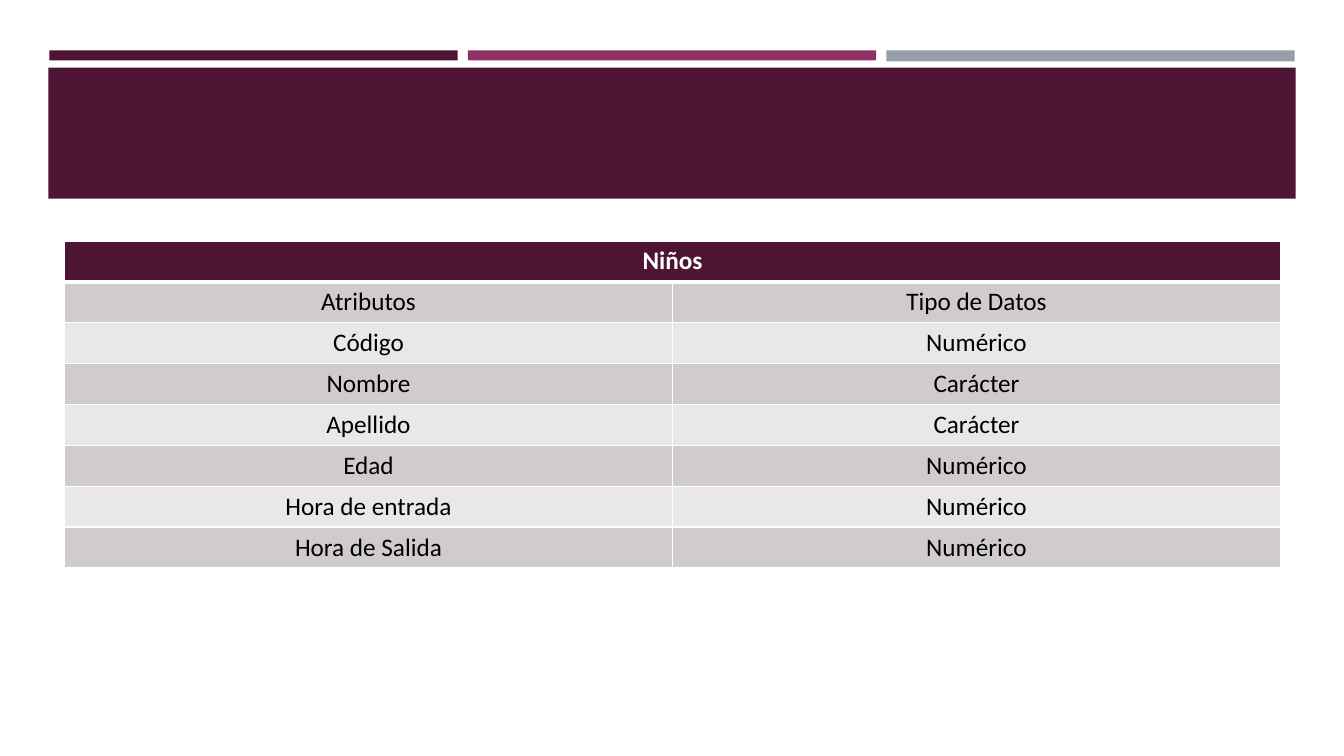
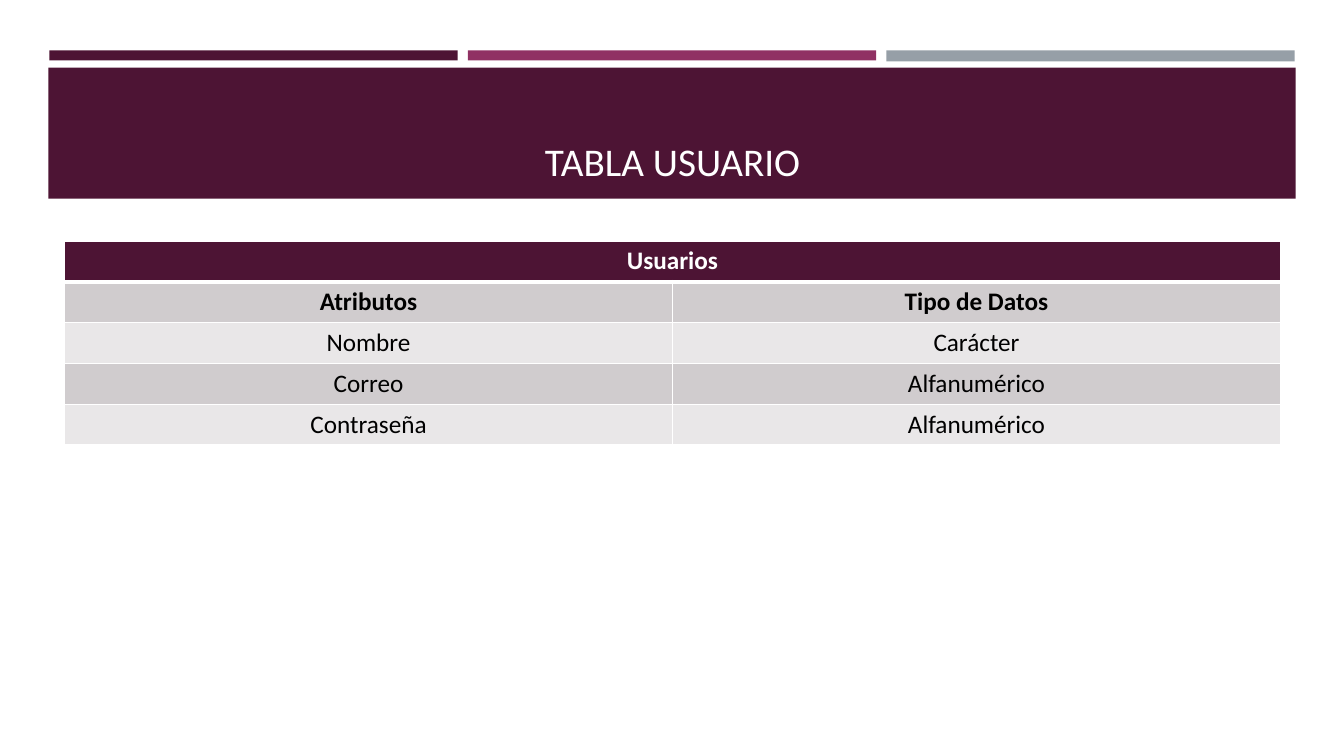
import pptx
import pptx.dml.color
import pptx.enum.shapes
import pptx.enum.text
import pptx.oxml
import pptx.oxml.ns
import pptx.util

Inches = pptx.util.Inches

SLIDES = [
    {
        "title": None,
        "heading": "Niños",
        "bold_labels": False,
        "rows": [
            ("Atributos", "Tipo de Datos"),
            ("Código", "Numérico"),
            ("Nombre", "Carácter"),
            ("Apellido", "Carácter"),
            ("Edad", "Numérico"),
            ("Hora de entrada", "Numérico"),
            ("Hora de Salida", "Numérico"),
        ],
    },
    {
        "title": "TABLA USUARIO",
        "heading": "Usuarios",
        "bold_labels": True,
        "rows": [
            ("Atributos", "Tipo de Datos"),
            ("Nombre", "Carácter"),
            ("Correo", "Alfanumérico"),
            ("Contraseña", "Alfanumérico"),
        ],
    },
]

PLUM, MAGENTA, GRAY = "4D1434", "903163", "969FA7"
WHITE, BLACK = "FFFFFF", "000000"
ROW_FILLS = ("D0CCCE", "E9E7E8")
STRIPES = [(PLUM, 0.1), (MAGENTA, 0.1), (GRAY, 0.11)]
STRIPE_LEFT, STRIPE_TOP, STRIPE_WIDTH, STRIPE_GAP = 0.49, 0.5, 4.05, 0.1
BAND = (0.48, 0.67, 12.37, 1.3)
TITLE = (0.64, 0.77, 12.06, 1.11)
TABLE_LEFT, TABLE_TOP, TABLE_WIDTH = 0.64, 2.39, 12.06
ROW_HEIGHT = 3.24 / 8

TITLE_FORMAT = {"name": "Calibri", "size": pptx.util.Pt(28)}
HEADING_FORMAT = {"name": "Calibri", "size": pptx.util.Pt(18), "bold": True}
LABEL_FORMAT = HEADING_FORMAT
BODY_FORMAT = {**HEADING_FORMAT, "bold": False}


def rgb(value):
    return pptx.dml.color.RGBColor.from_string(value)


def add_rectangle(slide, box, color):
    rectangle = slide.shapes.add_shape(
        pptx.enum.shapes.MSO_SHAPE.RECTANGLE, *map(Inches, box))
    rectangle.shadow.inherit = False
    rectangle.fill.solid()
    rectangle.fill.fore_color.rgb = rgb(color)
    rectangle.line.fill.background()


def write_centered(text_frame, text, color, font_format):
    paragraph = text_frame.paragraphs[0]
    paragraph.alignment = pptx.enum.text.PP_ALIGN.CENTER
    run = paragraph.add_run()
    run.text = text
    run.font.color.rgb = rgb(color)
    for name, value in font_format.items():
        setattr(run.font, name, value)


def add_bands(slide):
    for index, (color, height) in enumerate(STRIPES):
        left = STRIPE_LEFT + index * (STRIPE_WIDTH + STRIPE_GAP)
        add_rectangle(slide, (left, STRIPE_TOP, STRIPE_WIDTH, height), color)
    add_rectangle(slide, BAND, PLUM)


def add_title(slide, text):
    text_frame = slide.shapes.add_textbox(*map(Inches, TITLE)).text_frame
    text_frame.word_wrap = True
    text_frame.vertical_anchor = pptx.enum.text.MSO_ANCHOR.BOTTOM
    write_centered(text_frame, text, WHITE, TITLE_FORMAT)


def format_cell(cell, fill, top, bottom):
    properties = cell._tc.get_or_add_tcPr()
    for side, points in (("L", 1), ("R", 1), ("T", top), ("B", bottom)):
        properties.append(pptx.oxml.parse_xml(
            f'<a:ln{side} {pptx.oxml.ns.nsdecls("a")} w="{pptx.util.Pt(points)}">'
            f'<a:solidFill><a:srgbClr val="{WHITE}"/></a:solidFill></a:ln{side}>'))
    cell.fill.solid()
    cell.fill.fore_color.rgb = rgb(fill)


def add_attribute_table(slide, heading, rows, bold_labels):
    row_count = len(rows) + 1
    table = slide.shapes.add_table(
        row_count, 2, Inches(TABLE_LEFT), Inches(TABLE_TOP),
        Inches(TABLE_WIDTH), Inches(ROW_HEIGHT * row_count)).table
    for cell in table.rows[0].cells:
        format_cell(cell, PLUM, 1, 3)
    table.cell(0, 0).merge(table.cell(0, 1))
    write_centered(table.cell(0, 0).text_frame, heading, WHITE, HEADING_FORMAT)
    for index, values in enumerate(rows):
        is_label = index == 0
        font_format = LABEL_FORMAT if is_label and bold_labels else BODY_FORMAT
        for cell, text in zip(table.rows[index + 1].cells, values):
            format_cell(cell, ROW_FILLS[index % 2], 3 if is_label else 1, 1)
            write_centered(cell.text_frame, text, BLACK, font_format)


def main():
    presentation = pptx.Presentation()
    presentation.slide_width = Inches(13.33)
    presentation.slide_height = Inches(7.5)
    for content in SLIDES:
        slide = presentation.slides.add_slide(presentation.slide_layouts[6])
        add_bands(slide)
        if content["title"]:
            add_title(slide, content["title"])
        add_attribute_table(
            slide, content["heading"], content["rows"], content["bold_labels"])
    presentation.save("out.pptx")


if __name__ == "__main__":
    main()
